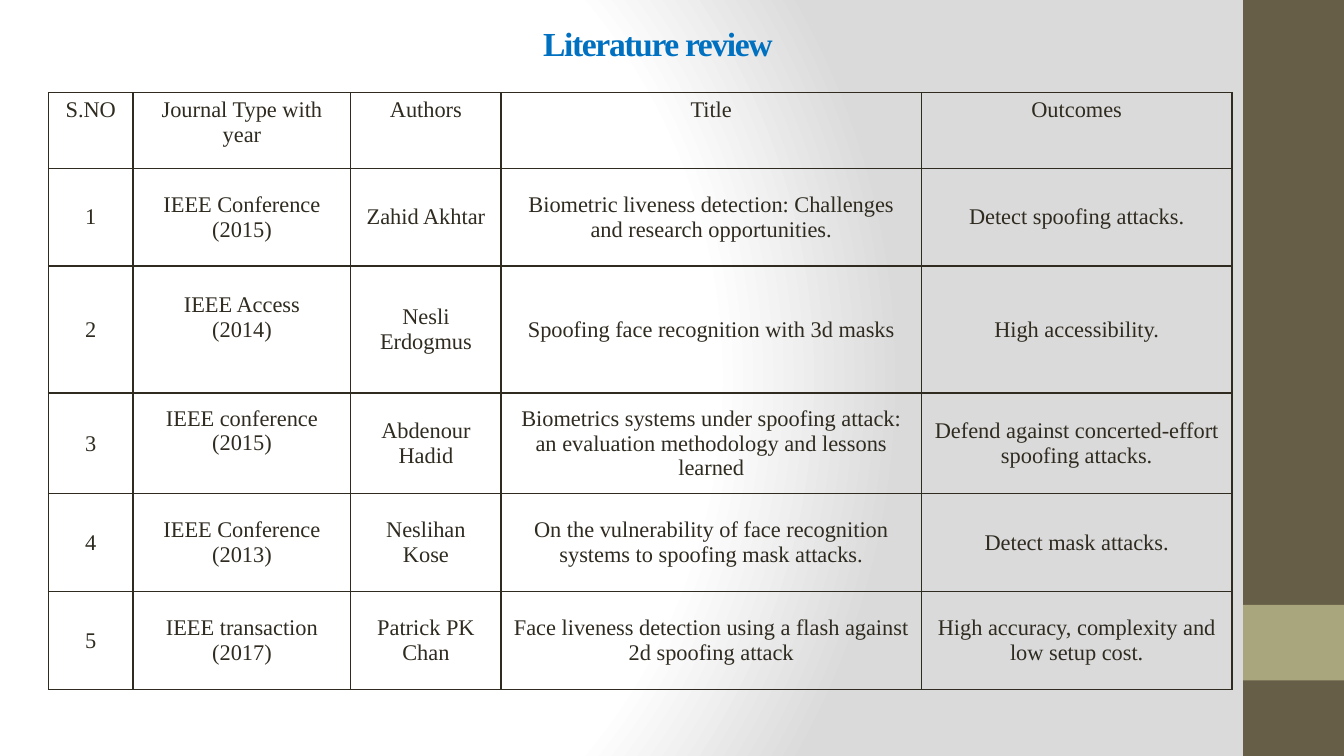
from dataclasses import dataclass

from lxml import etree
from pptx import Presentation
from pptx.dml.color import RGBColor
from pptx.enum.shapes import MSO_SHAPE
from pptx.enum.text import MSO_ANCHOR, PP_ALIGN
from pptx.oxml import parse_xml
from pptx.oxml.ns import nsdecls, qn
from pptx.util import Inches, Pt

RECTANGLE = MSO_SHAPE.RECTANGLE
CENTER = PP_ALIGN.CENTER
TOP, MIDDLE = MSO_ANCHOR.TOP, MSO_ANCHOR.MIDDLE
TITLE_ONLY = 5


@dataclass(frozen=True)
class Theme:
    font: str = "Times New Roman"
    title_color: str = "0070C0"
    ink: str = "2F2B20"
    sidebar: str = "675E47"
    accent: str = "A9A57C"
    glow: str = "FFFFFF"
    shade: str = "DADADA"
    title_size: float = 24
    table_size: float = 16
    border_width: float = 1


@dataclass(frozen=True)
class Band:
    top: float
    height: float
    color: str


@dataclass(frozen=True)
class Study:
    journal: str
    authors: str
    title: str
    outcome: str
    row_height: float
    journal_lift: float = 0


THEME = Theme()
BANDS = [Band(0, 7.5, THEME.sidebar), Band(6, 0.75, THEME.accent)]
HEADINGS = ["S.NO", "Journal Type with year", "Authors", "Title", "Outcomes"]
HEADING_HEIGHT = 0.75
COLUMN_WIDTHS = [0.84, 2.16, 1.49, 4.17, 3.08]
JOURNAL_COLUMN = 1
STUDIES = [
    Study("IEEE Conference\n(2015)", "Zahid Akhtar",
          "Biometric liveness detection: Challenges and research opportunities.",
          "Detect spoofing attacks.", 0.97),
    Study("IEEE Access\n(2014)", "Nesli Erdogmus",
          "Spoofing face recognition with 3d masks",
          "High accessibility.", 1.26, journal_lift=0.25),
    Study("IEEE conference\n(2015)", "Abdenour Hadid",
          "Biometrics systems under spoofing attack: an evaluation methodology "
          "and lessons learned",
          "Defend against concerted-effort spoofing attacks.", 1, journal_lift=0.25),
    Study("IEEE Conference\n(2013)", "Neslihan Kose",
          "On the vulnerability of face recognition systems to spoofing mask attacks.",
          "Detect mask attacks.", 0.97),
    Study("IEEE transaction\n(2017)", "Patrick PK Chan",
          "Face liveness detection using a flash against 2d spoofing attack",
          "High accuracy, complexity and low setup cost.", 0.97),
]


def write_text(frame, text: str, *, size: float, color: str,
               bold: bool = False, tracking: float = 0) -> None:
    """Fill a text frame with centred paragraphs, one per line."""
    for index, line in enumerate(text.split("\n")):
        paragraph = frame.add_paragraph() if index else frame.paragraphs[0]
        paragraph.alignment = CENTER
        run = paragraph.add_run()
        run.text = line
        run.font.name = THEME.font
        run.font.size = Pt(size)
        run.font.bold = bold
        run.font.color.rgb = RGBColor.from_string(color)
        if tracking:
            run.font._element.set("spc", str(int(tracking * 100)))


def paint_background(slide) -> None:
    stops = "".join(
        f'<a:gs pos="{position * 1000}"><a:srgbClr val="{color}"/></a:gs>'
        for position, color in [(0, THEME.glow), (75, THEME.glow), (100, THEME.shade)])
    background = parse_xml(
        f'<p:bg {nsdecls("p", "a")}><p:bgPr><a:gradFill rotWithShape="1">'
        f'<a:gsLst>{stops}</a:gsLst><a:path path="circle">'
        '<a:fillToRect l="20000" t="50000" r="100000" b="50000"/></a:path>'
        '</a:gradFill><a:effectLst/></p:bgPr></p:bg>')
    slide.element.cSld.insert(0, background)


def draw_band(slide, band: Band) -> None:
    bar = slide.shapes.add_shape(RECTANGLE, Inches(12.33), Inches(band.top),
                                 Inches(1), Inches(band.height))
    bar.shadow.inherit = False
    bar.fill.solid()
    bar.fill.fore_color.rgb = RGBColor.from_string(band.color)
    bar.line.fill.background()


def outline_cell(cell) -> None:
    properties = cell._tc.get_or_add_tcPr()
    for index, side in enumerate(["lnL", "lnR", "lnT", "lnB"]):
        border = etree.Element(qn(f"a:{side}"), w=str(Pt(THEME.border_width)))
        fill = etree.SubElement(border, qn("a:solidFill"))
        etree.SubElement(fill, qn("a:srgbClr"), val=THEME.ink)
        properties.insert(index, border)


def draw_review_table(slide) -> None:
    heights = [HEADING_HEIGHT] + [study.row_height for study in STUDIES]
    table = slide.shapes.add_table(
        len(heights), len(COLUMN_WIDTHS), Inches(0.48), Inches(0.92),
        Inches(sum(COLUMN_WIDTHS)), Inches(sum(heights))).table
    table.horz_banding = False
    table.first_row = False
    for column, width in zip(table.columns, COLUMN_WIDTHS):
        column.width = Inches(width)
    for row, height in zip(table.rows, heights):
        row.height = Inches(height)

    # Headings and studies
    rows = [HEADINGS] + [
        [str(number), study.journal, study.authors, study.title, study.outcome]
        for number, study in enumerate(STUDIES, 1)]
    for row_index, texts in enumerate(rows):
        for column_index, text in enumerate(texts):
            cell = table.cell(row_index, column_index)
            cell.fill.background()
            cell.vertical_anchor = MIDDLE if row_index else TOP
            outline_cell(cell)
            write_text(cell.text_frame, text, size=THEME.table_size, color=THEME.ink)

    # Journals set above the middle of their row
    for row_index, study in enumerate(STUDIES, 1):
        table.cell(row_index, JOURNAL_COLUMN).margin_bottom = Inches(0.05 + study.journal_lift)


def main() -> None:
    deck = Presentation()
    deck.slide_width, deck.slide_height = Inches(13.33), Inches(7.5)
    slide = deck.slides.add_slide(deck.slide_layouts[TITLE_ONLY])
    paint_background(slide)

    # Sidebar
    for band in BANDS:
        draw_band(slide, band)

    # Title
    heading = slide.shapes.title
    heading.left, heading.top = Inches(0.86), Inches(0.1)
    heading.width, heading.height = Inches(11.33), Inches(0.66)
    heading.text_frame.vertical_anchor = MIDDLE
    write_text(heading.text_frame, "Literature review", size=THEME.title_size,
               color=THEME.title_color, bold=True, tracking=-1)

    draw_review_table(slide)
    deck.save("out.pptx")


if __name__ == "__main__":
    main()
